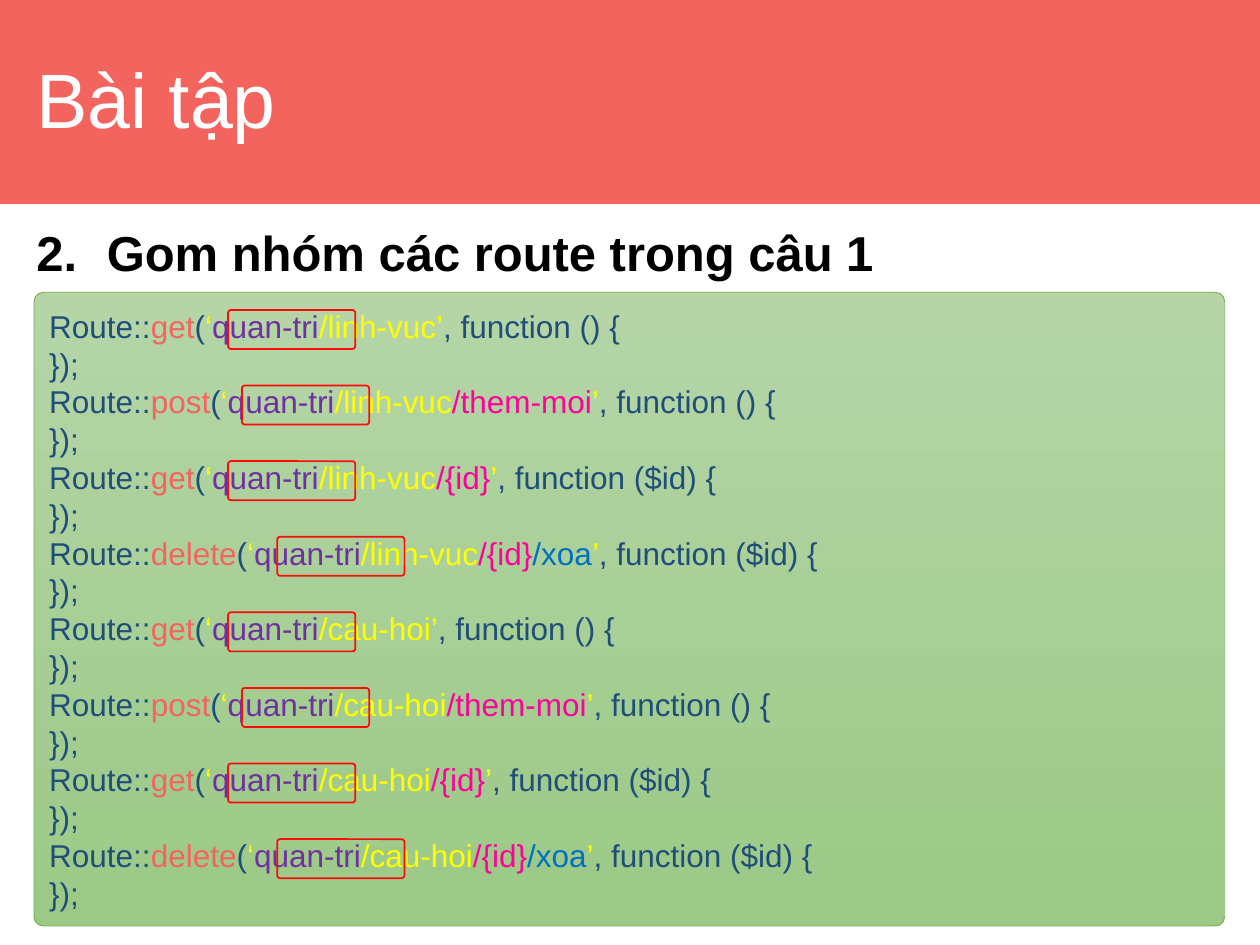
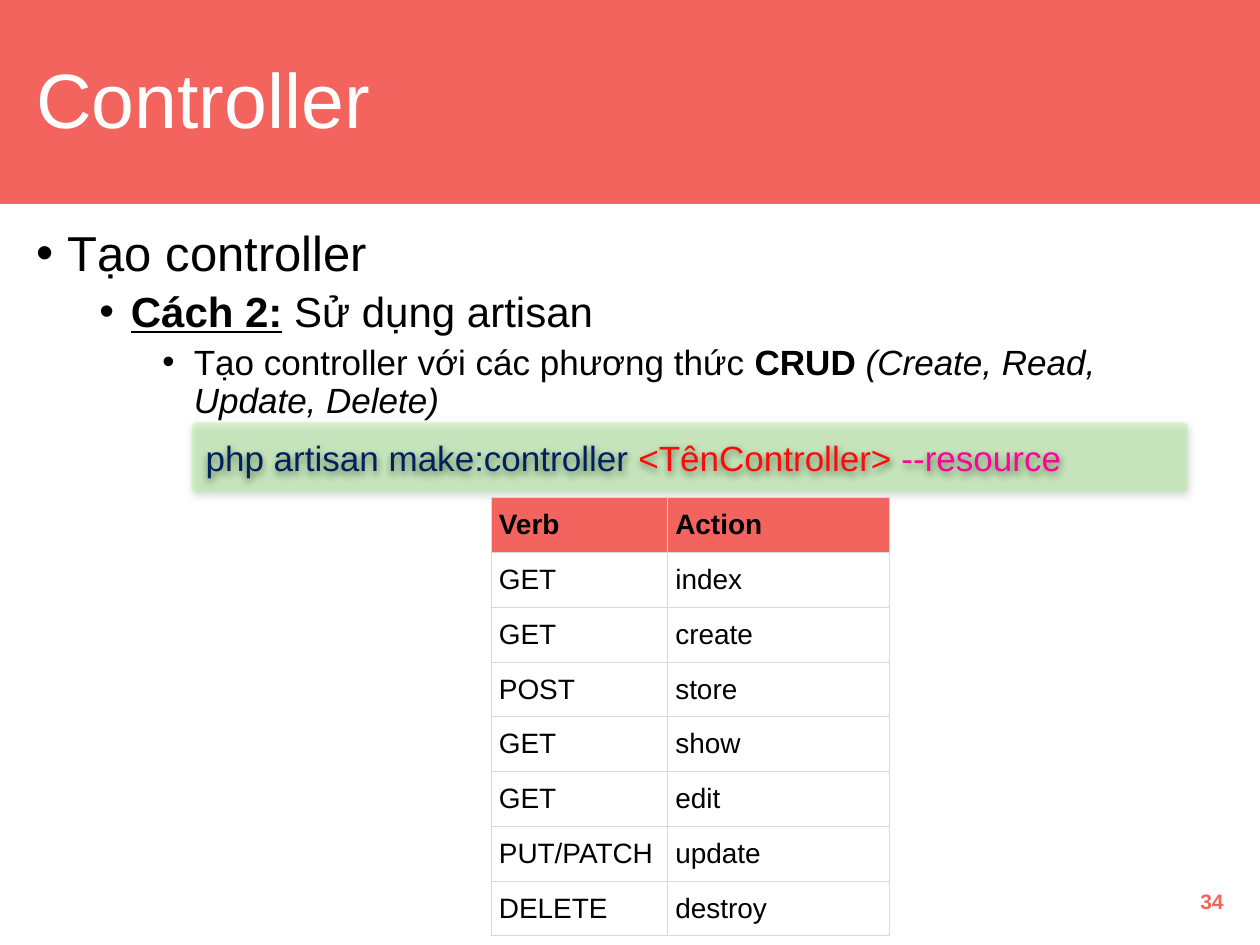
"""Build two slides on grouping routes and on making a resource controller."""
from lxml.etree import SubElement as Sub
from pptx import Presentation
from pptx.dml.color import RGBColor as RGB
from pptx.enum.shapes import MSO_SHAPE as Kind
from pptx.enum.text import MSO_ANCHOR as Anchor, PP_ALIGN as Align
from pptx.oxml import parse_xml
from pptx.oxml.ns import nsdecls, qn
from pptx.util import Inches, Pt

HUE = {
    "coral": "F4645F", "white": "FFFFFF", "black": "000000", "steel": "1F4E79",
    "yellow": "FFFF00", "purple": "7030A0", "pink": "FF009A", "blue": "0070C0",
    "navy": "002060", "red": "FF0909", "green": "70AD47", "lime": "66FF33",
    "pale": "B5D5A7", "moss": "9CC987", "grey": "D7D7DC",
}
FONT = "Arial"


def form(slide, at, kind=None, fill=None, edge=None, width=1, bend=None):
    spot = [Inches(v) for v in at]
    if kind is None:
        item = slide.shapes.add_textbox(*spot)
    else:
        item = slide.shapes.add_shape(kind, *spot)
        item.shadow.inherit = False
        if bend is not None:
            item.adjustments[0] = bend
        if fill:
            item.fill.solid()
            item.fill.fore_color.rgb = RGB.from_string(HUE[fill])
        else:
            item.fill.background()
        if edge:
            item.line.color.rgb = RGB.from_string(HUE[edge])
            item.line.width = Pt(width)
        else:
            item.line.fill.background()
    item.text_frame.word_wrap = True
    item.text_frame.vertical_anchor = Anchor.MIDDLE
    return item


def say(par, size, runs, align=Align.LEFT):
    par.alignment = align
    for text, hue, *more in runs:
        run = par.add_run()
        run.text = text
        look = {"name": FONT, "size": Pt(size)}
        for part in more:
            look.update(part)
        for key, val in look.items():
            setattr(run.font, key, val)
        run.font.color.rgb = RGB.from_string(HUE[hue])


BOLD = {"bold": True}
DOT = ("a:buChar", {"char": "•"})
NUM = ("a:buAutoNum", {"type": "arabicPeriod", "startAt": "2"})
PAGES = [
    ("Bài tập", [
        (0, NUM, 0.56, 0.56, 28, 10, [("Gom nhóm các route trong câu 1", "black", BOLD)]),
    ]),
    ("Controller", [
        (0, DOT, 0.25, 0.25, 28, 10, [("Tạo controller", "black")]),
        (1, DOT, 0.75, 0.25, 24, 5, [
            ("Cách 2:", "black", BOLD, {"underline": True}),
            (" Sử dụng artisan", "black")]),
        (2, DOT, 1.25, 0.25, 20, 5, [
            ("Tạo controller với các phương thức ", "black"),
            ("CRUD ", "black", BOLD),
            ("(Create, Read, Update, Delete)", "black", {"italic": True})]),
    ]),
]

deck = Presentation()
deck.slide_width, deck.slide_height = Inches(10), Inches(7.5)

for title, lines in PAGES:
    slide = deck.slides.add_slide(deck.slide_layouts[6])
    form(slide, (0, 0, 10, 1.61), Kind.RECTANGLE, "coral", "coral")
    head = form(slide, (0.19, 0.27, 9.63, 1.1)).text_frame.paragraphs[0]
    head.line_spacing = 0.9
    say(head, 44, [(title, "white")])
    body = form(slide, (0.19, 1.77, 9.63, 4.98)).text_frame
    body.vertical_anchor = Anchor.TOP
    for i, (level, (tag, mark), left, hang, size, gap, runs) in enumerate(lines):
        par = body.add_paragraph() if i else body.paragraphs[0]
        par.level, par.line_spacing, par.space_before = level, 0.9, Pt(gap)
        say(par, size, runs)
        prop = par._p.get_or_add_pPr()
        prop.set("marL", str(Inches(left)))
        prop.set("indent", str(-Inches(hang)))
        Sub(prop, qn("a:buFont"), typeface=FONT)
        Sub(prop, qn(tag), mark)

task, guide = deck.slides

code = form(task, (0.27, 2.32, 9.45, 5.03), Kind.ROUNDED_RECTANGLE, None, "green", 0.5, 0.015)
code.fill.gradient()
code.fill.gradient_angle = 270
for stop, hue in zip(code.fill.gradient_stops, ("pale", "moss")):
    stop.color.rgb = RGB.from_string(HUE[hue])

ROUTES = [
    ("get", [], "", 1.81),
    ("post", [("/them-moi", "pink")], "", 1.92),
    ("get", [("/{id}", "pink")], "$id", 1.81),
    ("delete", [("/{id}", "pink"), ("/xoa", "blue")], "$id", 2.2),
]
calls = [(group, *route) for group in ("/linh-vuc", "/cau-hoi") for route in ROUTES]
text = code.text_frame
for i, (group, verb, tail, arg, left) in enumerate(calls):
    par = text.add_paragraph() if i else text.paragraphs[0]
    say(par, 18, [
        ("Route::", "steel"), (verb, "coral"), ("(", "steel"), ("‘", "yellow"),
        ("quan-tri", "purple"), (group, "yellow"), *tail, ("’", "yellow"),
        (f", function ({arg}) {{", "steel")])
    say(text.add_paragraph(), 18, [("});", "steel")])
    form(task, (left, 2.46 + 0.6 * i, 1.01, 0.31), Kind.ROUNDED_RECTANGLE,
         None, "red", 1, 0.076)

page = form(guide, (7.56, 6.95, 2.25, 0.4)).text_frame.paragraphs[0]
say(page, 12, [("34", "coral", BOLD)], Align.RIGHT)

shell = form(guide, (1.52, 3.35, 7.91, 0.56), Kind.ROUNDED_RECTANGLE, "lime", bend=0.08)
say(shell.text_frame.paragraphs[0], 20, [
    ("php artisan make:controller ", "navy"),
    ("<TênController> ", "red"), ("--resource", "pink")])
prop = shell._element.spPr
Sub(prop.find(".//" + qn("a:srgbClr")), qn("a:alpha"), val="20000")
prop.find(qn("a:effectLst")).append(parse_xml(
    f'<a:outerShdw {nsdecls("a")} blurRad="{Pt(4.5)}" dist="{Pt(1.5)}" dir="5400000" '
    f'rotWithShape="0"><a:srgbClr val="{HUE["black"]}"><a:alpha val="63000"/>'
    '</a:srgbClr></a:outerShdw>'))

ROWS = [
    ("Verb", "Action"), ("GET", "index"), ("GET", "create"), ("POST", "store"),
    ("GET", "show"), ("GET", "edit"), ("PUT/PATCH", "update"), ("DELETE", "destroy"),
]
spot = [Inches(v) for v in (3.9, 3.95, 3.16, 3.48)]
grid = guide.shapes.add_table(len(ROWS), 2, *spot).table
grid.first_row = grid.horz_banding = False
for col, width in zip(grid.columns, (1.4, 1.76)):
    col.width = Inches(width)
for r, row in enumerate(ROWS):
    for c, word in enumerate(row):
        cell = grid.cell(r, c)
        look = {"vertical_anchor": Anchor.MIDDLE}
        for side in ("left", "right", "top", "bottom"):
            look["margin_" + side] = Inches(0.06)
        for key, val in look.items():
            setattr(cell, key, val)
        for side in "LRTB":
            edge = Sub(cell._tc.get_or_add_tcPr(), qn("a:ln" + side), w=str(Pt(0.5)))
            Sub(Sub(edge, qn("a:solidFill")), qn("a:srgbClr"), val=HUE["grey"])
        if r:
            cell.fill.background()
        else:
            cell.fill.solid()
            cell.fill.fore_color.rgb = RGB.from_string(HUE["coral"])
        say(cell.text_frame.paragraphs[0], 16, [(word, "black", {"bold": r == 0})])

deck.save("out.pptx")
